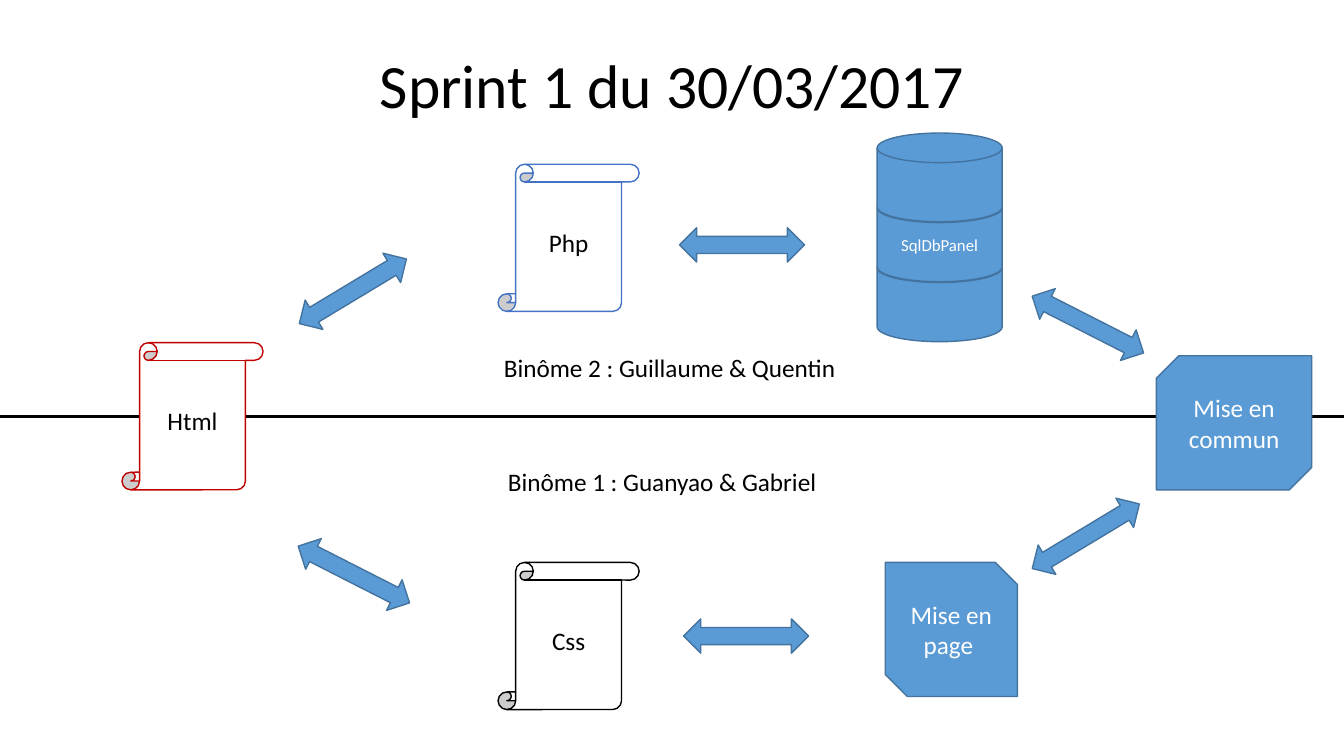
from lxml import etree
from pptx import Presentation
from pptx.dml.color import RGBColor
from pptx.enum.shapes import MSO_CONNECTOR, MSO_SHAPE
from pptx.enum.text import MSO_ANCHOR, MSO_AUTO_SIZE, PP_ALIGN
from pptx.oxml.ns import qn
from pptx.util import Inches, Pt

SCROLL = MSO_SHAPE.VERTICAL_SCROLL
DISK = MSO_SHAPE.FLOWCHART_MAGNETIC_DISK
ARROW = MSO_SHAPE.LEFT_RIGHT_ARROW
SNIPPED = MSO_SHAPE.SNIP_2_DIAG_RECTANGLE
STRAIGHT = MSO_CONNECTOR.STRAIGHT
MIDDLE, CENTER = MSO_ANCHOR.MIDDLE, PP_ALIGN.CENTER
FIT_SHAPE = MSO_AUTO_SIZE.SHAPE_TO_FIT_TEXT

COLORS = {"black": "000000", "white": "FFFFFF", "red": "C00000",
          "royal": "4472C4", "blue": "5B9BD5", "edge": "43739E"}
FONT = "Calibri"
SLIDE_W, SLIDE_H = 13.33, 7.5
DIVIDER_Y = 4.13
SCROLL_SIZE = (1.4, 1.46)
ARROW_SIZE = (1.24, 0.34)
DISK_SIZE = (1.24, 0.88)
DISK_LEFT, DISK_BOTTOM, DISK_STEP = 8.7, 2.51, 0.595
UP, DOWN = 328.9, 27
SNIP = 0.16667

TITLE = "Sprint 1 du 30/03/2017"
# text, left, top, outline
SCROLLS = [("Html", 1.21, 3.4, "red"),
           ("Php", 4.94, 1.63, "royal"),
           ("Css", 4.94, 5.58, "black")]
DISKS = ["", "SqlDbPanel", ""]  # bottom to top
# left, top, rotation
ARROWS = [(6.74, 2.26, 0), (6.78, 6.14, 0),
          (2.88, 2.72, UP), (2.89, 5.53, DOWN),
          (10.17, 3.05, DOWN), (10.15, 5.15, UP)]
# text, left, top, width, height, snips (top left, top right)
STEPS = [("Mise en page ", 8.78, 5.58, 1.31, 1.33, (0, SNIP)),
         ("Mise en commun", 11.47, 3.53, 1.54, 1.33, (SNIP, 0))]
# text, left, top, width
TEAMS = [("Binôme 1 : Guanyao & Gabriel", 4.94, 4.58, 3.3),
         ("Binôme 2 : Guillaume & Quentin", 4.9, 3.45, 3.53)]


def rgb(name):
    return RGBColor.from_string(COLORS[name])


def box(left, top, width, height):
    return [Inches(v) for v in (left, top, width, height)]


def write(tf, text, size, color, align=None):
    tf.text = text
    p = tf.paragraphs[0]
    p.alignment = align
    font = p.runs[0].font
    font.name, font.size, font.color.rgb = FONT, Pt(size), rgb(color)


def add_figure(shapes, kind, place, fill="blue", line="edge",
               text="", size=18, color="white"):
    sp = shapes.add_shape(kind, *box(*place))
    sp.shadow.inherit = False
    sp.fill.solid()
    sp.fill.fore_color.rgb = rgb(fill)
    sp.line.color.rgb = rgb(line)
    sp.line.width = Pt(1)
    if text:
        tf = sp.text_frame
        tf.word_wrap = True
        tf.vertical_anchor = MIDDLE
        write(tf, text, size, color, CENTER)
    return sp


def add_divider(shapes):
    y = Inches(DIVIDER_Y)
    line = shapes.add_connector(STRAIGHT, 0, y, Inches(SLIDE_W), y)
    line.line.color.rgb = rgb("black")
    line.line.width = Pt(2.25)
    etree.SubElement(line._element.spPr, qn("a:effectLst"))


def main():
    prs = Presentation()
    prs.slide_width, prs.slide_height = Inches(SLIDE_W), Inches(SLIDE_H)
    s = prs.slides.add_slide(prs.slide_layouts[5])
    shapes = s.shapes

    title = shapes.title
    title.left, title.top, title.width, title.height = box(0, 0.4, SLIDE_W, 0.96)
    title.text_frame.vertical_anchor = MIDDLE
    write(title.text_frame, TITLE, 44, "black", CENTER)
    title.text_frame.paragraphs[0].line_spacing = 0.9

    add_divider(shapes)
    for text, left, top, line in SCROLLS:
        add_figure(shapes, SCROLL, (left, top, *SCROLL_SIZE), "white", line,
                   text, color="black")

    database = shapes.add_group_shape()
    for i, text in enumerate(DISKS):
        top = DISK_BOTTOM - i * DISK_STEP
        add_figure(database.shapes, DISK, (DISK_LEFT, top, *DISK_SIZE),
                   text=text, size=12)

    for left, top, rotation in ARROWS:
        add_figure(shapes, ARROW, (left, top, *ARROW_SIZE)).rotation = rotation

    for text, *place, snips in STEPS:
        sp = add_figure(shapes, SNIPPED, place, text=text)
        for i, snip in enumerate(snips):
            sp.adjustments[i] = snip

    for text, left, top, width in TEAMS:
        tf = shapes.add_textbox(*box(left, top, width, 0.4)).text_frame
        tf.word_wrap = False
        tf.auto_size = FIT_SHAPE
        write(tf, text, 18, "black")

    prs.save("out.pptx")


if __name__ == "__main__":
    main()
